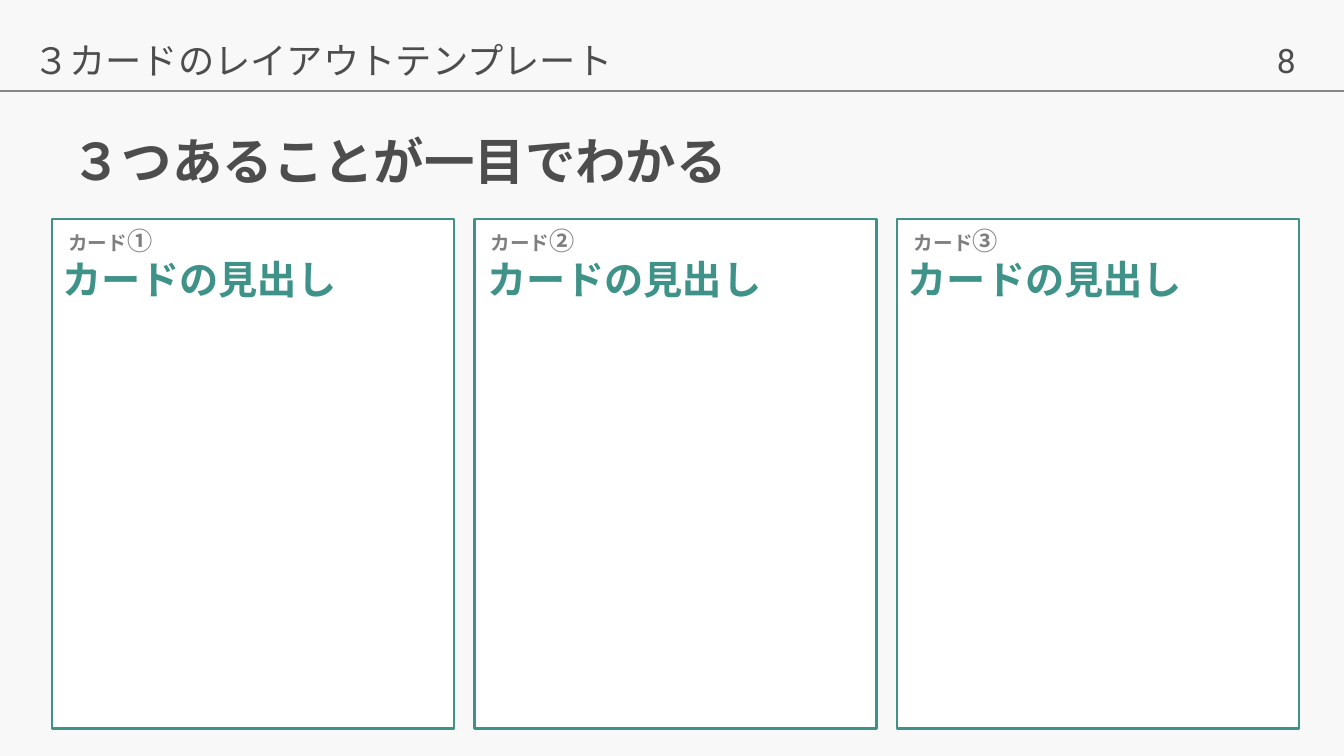
import pptx
import pptx.util
import pptx.dml.color
import pptx.enum.shapes
import pptx.enum.text
import pptx.oxml.ns
import lxml.etree

Cm, Pt = pptx.util.Cm, pptx.util.Pt
JAPANESE, LATIN = "Noto Sans CJK JP", "Roboto"
DARK, GRAY, GREEN = "4D4D4D", "7F7F7F", "3E9288"

# Content
TOPIC = "３カードのレイアウトテンプレート"
MESSAGE = "３つあることが一目でわかる"
PAGE = "8"
CARDS = [  # number, heading, insets of label and heading from the card edge (cm)
    ("①", "カードの見出し", 0.15, 0.0),
    ("②", "カードの見出し", 0.15, 0.07),
    ("③", "カードの見出し", 0.18, 0.03),
]

# Formats
TOPIC_FORMAT = dict(size=Pt(25.9), name=JAPANESE, bold=False)
MESSAGE_FORMAT = dict(size=Pt(36), name=JAPANESE, bold=True)
PAGE_FORMAT = dict(size=Pt(24), name=LATIN, bold=False)
LABEL_FORMAT = dict(size=Pt(14), name=JAPANESE, bold=True)
NUMBER_FORMAT = dict(LABEL_FORMAT, size=Pt(18))
HEADING_FORMAT = dict(size=Pt(28), name=JAPANESE, bold=True)

# Card grid (cm)
CARD_LEFT, CARD_TOP, CARD_WIDTH, CARD_HEIGHT, CARD_GAP = 1.32, 5.53, 10.13, 12.83, 0.51


def color(hex_value):
    return pptx.dml.color.RGBColor.from_string(hex_value)


def add_run(paragraph, text, values, hex_value):
    run = paragraph.add_run()
    run.text = text
    for key, value in values.items():
        setattr(run.font, key, value)
    run.font.color.rgb = color(hex_value)
    east_asian = lxml.etree.SubElement(run.font._element, pptx.oxml.ns.qn("a:ea"))
    east_asian.set("typeface", values["name"])


def add_label(left, top, width, height, runs):
    box = slide.shapes.add_textbox(Cm(left), Cm(top), Cm(width), Cm(height))
    box.text_frame.word_wrap = False
    box.text_frame.auto_size = pptx.enum.text.MSO_AUTO_SIZE.SHAPE_TO_FIT_TEXT
    for run in runs:
        add_run(box.text_frame.paragraphs[0], *run)


def fill_placeholder(placeholder, place, anchor, run):
    for key, length in zip(("left", "top", "width", "height"), place):
        setattr(placeholder, key, Cm(length))
    frame = placeholder.text_frame
    frame.auto_size = pptx.enum.text.MSO_AUTO_SIZE.NONE
    frame.vertical_anchor = anchor
    paragraph = frame.paragraphs[0]
    values = dict(alignment=pptx.enum.text.PP_ALIGN.LEFT, line_spacing=0.9, space_before=Pt(0))
    for key, value in values.items():
        setattr(paragraph, key, value)
    properties = paragraph._p.get_or_add_pPr()
    properties.set("marL", "0")
    properties.set("indent", "0")
    lxml.etree.SubElement(properties, pptx.oxml.ns.qn("a:buNone"))
    add_run(paragraph, *run)


deck = pptx.Presentation()
deck.slide_width, deck.slide_height = Cm(33.87), Cm(19.05)
slide = deck.slides.add_slide(deck.slide_layouts[1])
slide.background.fill.solid()
slide.background.fill.fore_color.rgb = color("F8F8F8")

# Header: page number, rule, message and topic
add_label(31.93, 0.89, 1.55, 1.27, [(PAGE, PAGE_FORMAT, DARK)])
rule = slide.shapes.add_connector(
    pptx.enum.shapes.MSO_CONNECTOR.STRAIGHT, 0, Cm(2.29), deck.slide_width, Cm(2.29))
rule.line.color.rgb = color("858585")
rule.line.width = Pt(1)
lxml.etree.SubElement(rule._element.spPr, pptx.oxml.ns.qn("a:effectLst"))
fill_placeholder(slide.shapes.title, (1.55, 2.82, 31.55, 2.62),
                 pptx.enum.text.MSO_ANCHOR.MIDDLE, (MESSAGE, MESSAGE_FORMAT, DARK))
fill_placeholder(slide.placeholders[1], (0.58, 0.97, 31.83, 1.3),
                 pptx.enum.text.MSO_ANCHOR.TOP, (TOPIC, TOPIC_FORMAT, DARK))

# Cards
for index, (number, heading, label_inset, heading_inset) in enumerate(CARDS):
    left = CARD_LEFT + index * (CARD_WIDTH + CARD_GAP)
    card = slide.shapes.add_shape(
        pptx.enum.shapes.MSO_SHAPE.RECTANGLE,
        Cm(left), Cm(CARD_TOP), Cm(CARD_WIDTH), Cm(CARD_HEIGHT))
    card.shadow.inherit = False
    card.fill.solid()
    card.fill.fore_color.rgb = color("FFFFFF")
    card.line.color.rgb = color(GREEN)
    card.line.width = Pt(1.5)
    add_label(left + label_inset, 5.56, 2.64, 1.02,
              [("カード", LABEL_FORMAT, GRAY), (number, NUMBER_FORMAT, GRAY)])
    add_label(left + heading_inset, 6.32, 7.49, 1.45, [(heading, HEADING_FORMAT, GREEN)])

deck.save("out.pptx")
